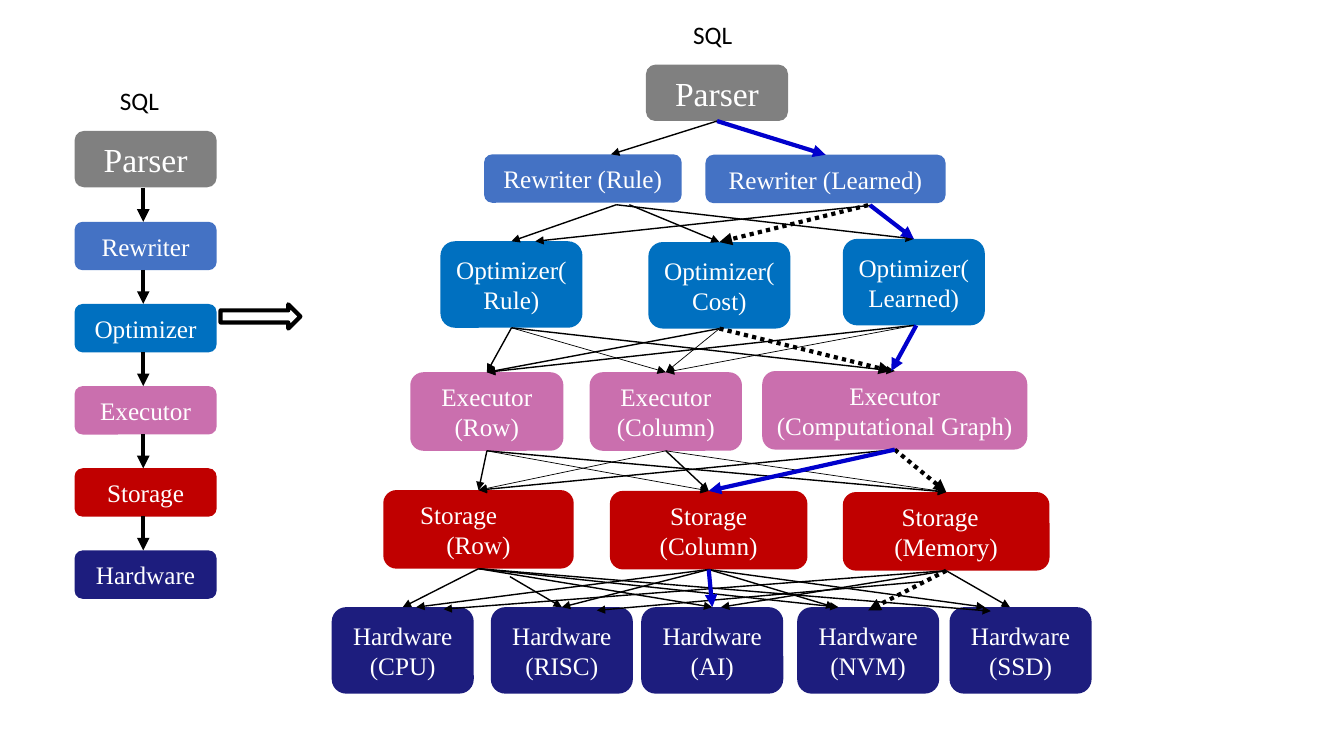
from lxml.etree import SubElement
from pptx import Presentation
from pptx.dml.color import RGBColor
from pptx.enum.dml import MSO_LINE
from pptx.enum.shapes import MSO_CONNECTOR, MSO_SHAPE
from pptx.enum.text import MSO_ANCHOR, PP_ALIGN
from pptx.oxml.ns import qn
from pptx.util import Cm, Pt

COLORS = {
    "Parser": "808080",
    "Rewriter": "4472C4",
    "Optimizer": "0070C0",
    "Executor": "CA6FAE",
    "Storage": "C00000",
    "Hardware": "1D1D7E",
    "text": "FFFFFF",
    "line": "000000",
    "learned": "0000CC",
}

LINK_STYLES = {
    "hair": {"width": 0.5},
    "thin": {"width": 1},
    "learned": {"width": 3, "color": "learned"},
    "dotted": {"width": 3, "dash": MSO_LINE.ROUND_DOT},
}

BOX_WIDTH = 3.58
PARSER_TOP, PARSER_HEIGHT = 1.27, 1.42

# Layers: name, height, gap below, boxes as (variant, left, top, width)
LAYERS = [
    ("Parser", PARSER_HEIGHT, 0, [("", 7.92, PARSER_TOP, BOX_WIDTH)]),
    ("Rewriter", 1.22, 0.05, [(" (Rule)", 3.84, 3.53, 4.98),
                              (" (Learned)", 9.42, 3.54, 6.05)]),
    ("Optimizer", 2.18, 0, [("(Rule)", 2.74, 5.72, BOX_WIDTH),
                            ("(Cost)", 7.98, 5.74, BOX_WIDTH),
                            ("(Learned)", 12.88, 5.66, BOX_WIDTH)]),
    ("Executor", 1.98, 0, [(" (Row)", 1.98, 9.02, 3.86),
                           (" (Column)", 6.5, 9.02, 3.84),
                           (" (Computational Graph)", 10.85, 8.99, 6.68)]),
    ("Storage", 1.98, 0, [("\n(Row)", 1.3, 11.99, 4.8),
                          (" (Column)", 7.01, 12.01, 4.98),
                          ("\n(Memory)", 12.88, 12.04, 5.21)]),
    ("Hardware", 2.18, 0, [(" (CPU)", 0, 14.94, BOX_WIDTH),
                           (" (RISC)", 4.01, 14.94, BOX_WIDTH),
                           (" (AI)", 7.8, 14.94, BOX_WIDTH),
                           (" (NVM)", 11.73, 14.94, BOX_WIDTH),
                           (" (SSD)", 15.57, 14.94, BOX_WIDTH)]),
]

# Right indent of the first line where it sits left of centre
FIRST_LINE_INDENTS = {"Storage\n(Row)": 1, "Storage\n(Memory)": 0.3}

# Links below each layer: source, target, style, start offset, end offset
LINKS = [
    [(0, 0, "thin", (0, 0), (0.71, 0)), (0, 1, "learned")],
    [(0, 0, "thin", (0.84, 0)), (0, 1, "thin", (1.17, 0)),
     (0, 2, "thin", (0.84, 0)), (1, 0, "thin", (1.17, 0), (0.6, 0)),
     (1, 1, "dotted", (1.07, 0)), (1, 2, "learned", (1.12, 0))],
    [(0, 0, "thin"), (1, 0, "thin"), (2, 0, "thin"), (0, 2, "thin"),
     (0, 1, "hair"), (1, 1, "hair"), (2, 1, "hair"),
     (1, 2, "dotted", (0, 0), (-0.09, 0)),
     (2, 2, "learned", (0.06, 0), (-0.09, 0))],
    [(0, 0, "thin"), (1, 1, "thin"), (0, 2, "thin"), (2, 0, "thin"),
     (1, 0, "hair"), (0, 1, "hair"), (1, 2, "hair"),
     (2, 2, "dotted"), (2, 1, "learned")],
    [(0, 0, "thin"), (0, 1, "thin", (0.79, 0.2)), (0, 2, "thin"),
     (0, 3, "thin", (0, 0), (-0.75, 0)), (0, 4, "thin", (0, 0), (-0.75, 0.1)),
     (1, 0, "thin", (0, 0), (0.34, 0)), (1, 1, "thin"),
     (1, 3, "thin", (0, 0), (-0.85, 0)), (1, 4, "thin", (0, 0), (-0.9, 0)),
     (2, 0, "thin", (0, 0), (1.03, 0.05)),
     (2, 1, "thin", (-0.62, 0.28), (0.88, 0.08)),
     (2, 2, "thin", (0, 0), (0.22, 0)), (2, 4, "thin", (0, 0), (-0.27, 0)),
     (1, 2, "learned"), (2, 3, "dotted", (0, 0), (0, 0.08))],
]


def color(name):
    return RGBColor.from_string(COLORS[name])


def write_text(frame, text, font="Times New Roman", size=18, ink="text",
               align=PP_ALIGN.CENTER, first_indent=0):
    frame.word_wrap = True
    frame.text = text
    for index, paragraph in enumerate(frame.paragraphs):
        paragraph.alignment = align
        paragraph.font.name = font
        paragraph.font.size = Pt(size)
        paragraph.font.color.rgb = color(ink)
        if first_indent:
            right_indent = Cm(first_indent) if index == 0 else 0
            paragraph._p.get_or_add_pPr().set("marR", str(right_indent))


def add_box(slide, name, variant, left, top, width, height):
    shape = slide.shapes.add_shape(MSO_SHAPE.ROUNDED_RECTANGLE, Cm(left), Cm(top),
                                   Cm(width), Cm(height))
    shape.shadow.inherit = False
    shape.fill.solid()
    shape.fill.fore_color.rgb = color(name)
    shape.line.fill.background()
    shape.text_frame.vertical_anchor = MSO_ANCHOR.MIDDLE
    text = name + variant
    write_text(shape.text_frame, text, size=24 if name == "Parser" else 18,
               first_indent=FIRST_LINE_INDENTS.get(text, 0))


def add_query_label(slide, left, top, width):
    label = slide.shapes.add_textbox(Cm(left), Cm(top), Cm(width), Cm(1.12))
    write_text(label.text_frame, "SQL", font="Calibri", ink="line", align=PP_ALIGN.LEFT)


def add_arrow(slide, start, end, width=3, color_name="line", dash=None):
    arrow = slide.shapes.add_connector(MSO_CONNECTOR.STRAIGHT, Cm(start[0]), Cm(start[1]),
                                       Cm(end[0]), Cm(end[1]))
    arrow.line.width = Pt(width)
    arrow.line.color.rgb = color(color_name)
    if dash:
        arrow.line.dash_style = dash
    SubElement(arrow.line._get_or_add_ln(), qn("a:tailEnd"), type="triangle")
    SubElement(arrow._element.spPr, qn("a:effectLst"))


def draw_pipeline(slide, left, top):
    """Classic single-path pipeline."""
    add_query_label(slide, left + 0.89, top, 2)
    add_box(slide, "Parser", "", left, top + PARSER_TOP, BOX_WIDTH, PARSER_HEIGHT)
    stages = ["Rewriter", "Optimizer", "Executor", "Storage", "Hardware"]
    for index, name in enumerate(stages):
        stage_top = top + 3.56 + index * 2.07
        add_box(slide, name, "", left, stage_top, BOX_WIDTH, 1.22)
        add_arrow(slide, (left + 1.73, stage_top - 0.86), (left + 1.73, stage_top))


def draw_transition(slide, left, top, width, height):
    """Hollow arrow from the pipeline to the graph."""
    shape = slide.shapes.add_shape(MSO_SHAPE.RIGHT_ARROW, Cm(left), Cm(top),
                                   Cm(width), Cm(height))
    shape.shadow.inherit = False
    shape.fill.background()
    shape.line.color.rgb = color("line")
    shape.line.width = Pt(3)


def draw_graph(slide, left, top):
    """Layers of alternative components and the paths between them."""
    add_query_label(slide, left + 8.86, top, 3.3)
    for name, height, _, boxes in LAYERS:
        for variant, box_left, box_top, width in boxes:
            add_box(slide, name, variant, left + box_left, top + box_top, width, height)

    for upper, lower, links in zip(LAYERS, LAYERS[1:], LINKS):
        _, height, gap, sources = upper
        for source, target, style, *offsets in links:
            start_offset, end_offset = (offsets + [(0, 0), (0, 0)])[:2]
            _, source_left, source_top, source_width = sources[source]
            _, target_left, target_top, target_width = lower[3][target]
            start = (left + source_left + source_width / 2 + start_offset[0],
                     top + source_top + height + gap + start_offset[1])
            end = (left + target_left + target_width / 2 + end_offset[0],
                   top + target_top + end_offset[1])
            look = LINK_STYLES[style]
            add_arrow(slide, start, end, look["width"], look.get("color", "line"),
                      look.get("dash"))


def main():
    presentation = Presentation()
    presentation.slide_width = Cm(33.87)
    presentation.slide_height = Cm(19.05)
    slide = presentation.slides.add_slide(presentation.slide_layouts[6])
    draw_pipeline(slide, 1.88, 2.03)
    draw_transition(slide, 5.56, 7.67, 2.01, 0.61)
    draw_graph(slide, 8.36, 0.36)
    presentation.save("out.pptx")


if __name__ == "__main__":
    main()
